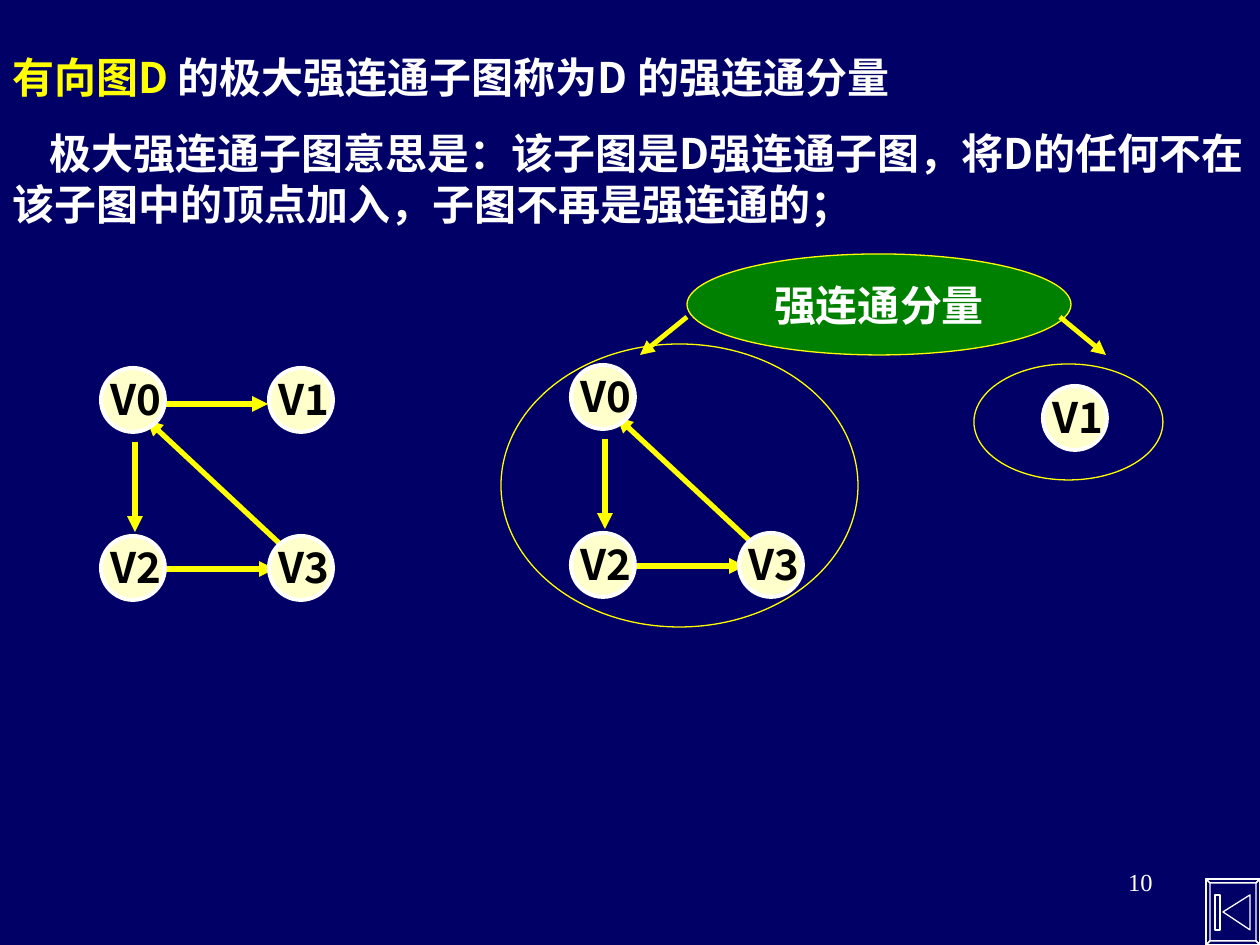
import pptx
import pptx.util
import pptx.dml.color
import pptx.enum.shapes
import pptx.enum.text
import pptx.oxml
import pptx.oxml.ns

RGBColor = pptx.dml.color.RGBColor
NAVY = RGBColor(0x00, 0x00, 0x66)
YELLOW = RGBColor(0xFF, 0xFF, 0x00)
WHITE = RGBColor(0xFF, 0xFF, 0xFF)
GREEN = RGBColor(0x00, 0x80, 0x00)
CREAM = RGBColor(0xFF, 0xFF, 0xCC)
BLACK = RGBColor(0x00, 0x00, 0x00)

CJK = "Noto Sans CJK SC"
SERIF = "Times New Roman"
ALIGN = pptx.enum.text.PP_ALIGN
SCALE = 914400 // 126
NODE = 64
STEP = 168

CELLS = {"V0": (0, 0), "V1": (1, 0), "V2": (0, 1), "V3": (1, 1)}
EDGES = {
    ("V0", "V2"): (34, 74, 34, 164),
    ("V2", "V3"): (64, 201, 174, 201),
    ("V0", "V1"): (64, 36, 167, 36),
    ("V3", "V0"): (193, 189, 46, 52),
}


def px(n):
    return pptx.util.Emu(n * SCALE)


def sub(parent, tag, **attrs):
    el = pptx.oxml.parse_xml(f"<{tag} {pptx.oxml.ns.nsdecls('a')}/>")
    for key, value in attrs.items():
        el.set(key, value)
    parent.append(el)


class Deck:
    def __init__(self, width, height):
        self.prs = pptx.Presentation()
        self.prs.slide_width, self.prs.slide_height = px(width), px(height)
        self.s = self.prs.slides.add_slide(self.prs.slide_layouts[6])
        self.s.background.fill.solid()
        self.s.background.fill.fore_color.rgb = NAVY

    def style(self, p, size, color, font=CJK, bold=True, align=ALIGN.LEFT):
        p.alignment = align
        p.font.size = pptx.util.Pt(size)
        p.font.bold = bold
        p.font.color.rgb = color
        p.font.name = font
        defaults = p._p.get_or_add_pPr().find(pptx.oxml.ns.qn("a:defRPr"))
        sub(defaults, "a:ea", typeface=CJK)

    def text(self, x, y, w, h, paragraphs):
        sp = self.s.shapes.add_textbox(px(x), px(y), px(w), px(h))
        tf = sp.text_frame
        tf.word_wrap = True
        for i, runs in enumerate(paragraphs):
            p = tf.add_paragraph() if i else tf.paragraphs[0]
            for words in runs:
                p.add_run().text = words
        return tf

    def ellipse(self, x, y, w, h, line, weight, fill=None):
        sp = self.s.shapes.add_shape(
            pptx.enum.shapes.MSO_SHAPE.OVAL, px(x), px(y), px(w), px(h))
        self.outline(sp, line, weight)
        if fill is not None:
            sp.fill.solid()
            sp.fill.fore_color.rgb = fill
        return sp

    def outline(self, sp, line, weight):
        sp.shadow.inherit = False
        sp.fill.background()
        sp.line.color.rgb = line
        sp.line.width = pptx.util.Pt(weight)

    def arrow(self, x1, y1, x2, y2, weight=3):
        cxn = self.s.shapes.add_connector(
            pptx.enum.shapes.MSO_CONNECTOR.STRAIGHT, px(x1), px(y1), px(x2), px(y2))
        cxn.line.color.rgb = YELLOW
        cxn.line.width = pptx.util.Pt(weight)
        sub(cxn.line._get_or_add_ln(), "a:tailEnd", type="triangle")
        sub(cxn._element.spPr, "a:effectLst")

    def node(self, x, y, name):
        self.ellipse(x, y, NODE, NODE, WHITE, 2.25, CREAM)
        tf = self.text(x - 7, y - 1, 89, 63, [[name]])
        tf.margin_left = px(17)
        self.style(tf.paragraphs[0], 24, BLACK)

    def graph(self, x, y, names):
        for ends, (x1, y1, x2, y2) in EDGES.items():
            if set(ends) <= set(names):
                self.arrow(x + x1, y + y1, x + x2, y + y2)
        for name in names:
            col, row = CELLS[name]
            self.node(x + col * STEP, y + row * STEP, name)

    def outlines(self, contours, line, weight):
        builder = self.s.shapes.build_freeform(*contours[0][0], scale=SCALE)
        for i, (start, *rest) in enumerate(contours):
            if i:
                builder.move_to(*start)
            builder.add_line_segments(rest, close=True)
        self.outline(builder.convert_to_shape(), line, weight)


def main():
    deck = Deck(1260, 945)

    tf = deck.text(903, 861, 262, 63, [["10"]])
    deck.style(tf.paragraphs[0], 14, WHITE, SERIF, False, ALIGN.RIGHT)

    tf = deck.text(0, 45, 1260, 190, [
        ["有向图D ", "的极大强连通子图称为D 的强连通分量"],
        ["极大强连通子图意思是：该子图是D强连通子图，将D的任何不在该子图中的顶点加入，子图不再是强连通的；"],
    ])
    first, second = tf.paragraphs
    second.space_before = pptx.util.Pt(15)
    second._p.get_or_add_pPr().set("indent", str(px(37)))
    for p in (first, second):
        deck.style(p, 24, WHITE)
    first.runs[0].font.color.rgb = YELLOW

    sp = deck.ellipse(687, 254, 384, 101, YELLOW, 0.75, GREEN)
    tf = sp.text_frame
    tf.word_wrap = False
    tf.vertical_anchor = pptx.enum.text.MSO_ANCHOR.MIDDLE
    tf.text = "强连通分量"
    deck.style(tf.paragraphs[0], 24, WHITE, SERIF, align=ALIGN.CENTER)
    deck.arrow(687, 317, 640, 355, 2.75)
    deck.arrow(1060, 317, 1106, 355, 2.75)

    deck.graph(101, 368, ["V0", "V1", "V2", "V3"])
    deck.graph(571, 365, ["V0", "V2", "V3"])
    deck.ellipse(501, 344, 357, 283, YELLOW, 0.75)
    deck.node(1043, 386, "V1")
    deck.ellipse(974, 364, 189, 116, YELLOW, 0.75)

    outer = [(1206, 879), (1260, 879), (1260, 945), (1206, 945)]
    inner = [(1210, 883), (1256, 883), (1256, 941), (1210, 941)]
    bevels = [[outer[i - 1], outer[i], inner[i], inner[i - 1]] for i in range(4)]
    triangle = [(1223, 912), (1250, 895), (1250, 930)]
    bar = [(1215, 895), (1220, 895), (1220, 930), (1215, 930)]
    deck.outlines([outer, *bevels, triangle, bar], WHITE, 0.75)

    deck.prs.save("out.pptx")


if __name__ == "__main__":
    main()
